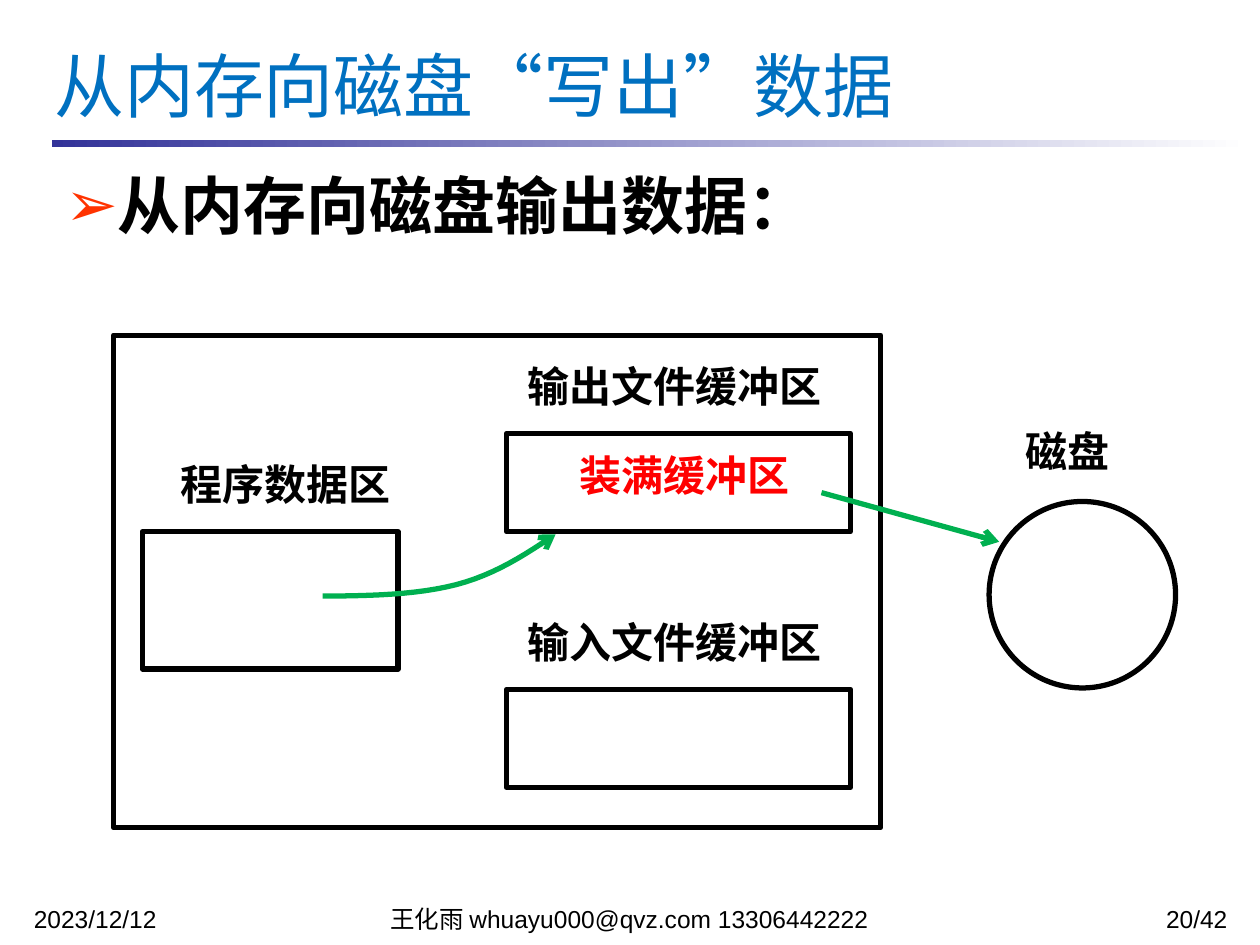
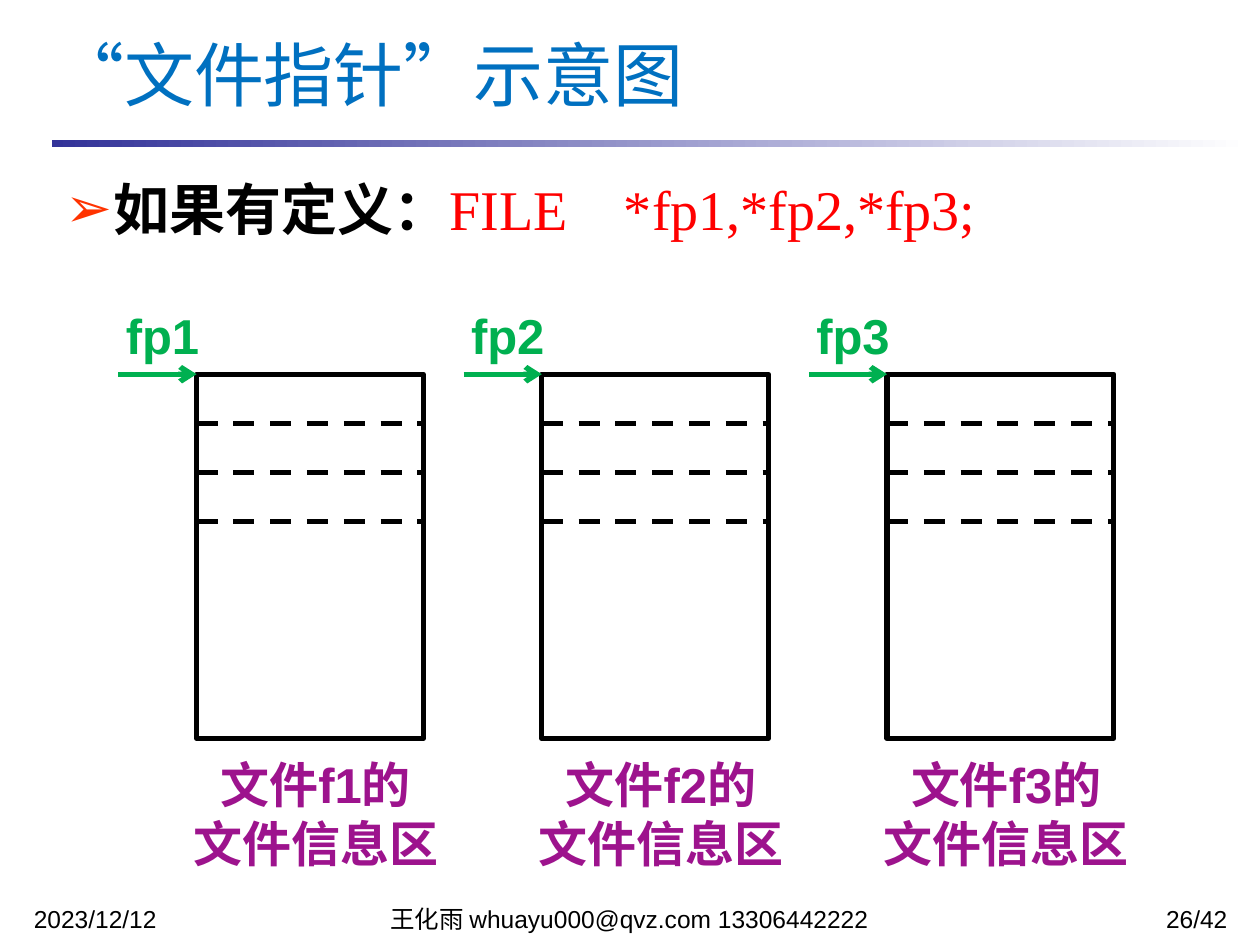
import lxml.etree
import pptx
import pptx.dml.color
import pptx.enum.dml
import pptx.enum.shapes
import pptx.enum.text
import pptx.oxml.ns
import pptx.util

Inches = pptx.util.Inches
Align = pptx.enum.text.PP_ALIGN
Anchor = pptx.enum.text.MSO_ANCHOR
Shape = pptx.enum.shapes.MSO_SHAPE

SANS = "Arial"
SERIF = "Times New Roman"
CHINESE = "Noto Sans CJK SC"
BLACK, WHITE, RED, GREEN = "000000", "FFFFFF", "FF0000", "00B050"
TITLE_BLUE, BAND_BLUE, PURPLE, BULLET = "0070C0", "333399", "9D138D", "FF3300"


def color(value):
    return pptx.dml.color.RGBColor.from_string(value)


def add_element(parent, tag, **attributes):
    return lxml.etree.SubElement(parent, pptx.oxml.ns.qn(tag), attributes)


def write_run(paragraph, text, size=24, font=SANS, fill=BLACK, bold=False):
    run = paragraph.add_run()
    run.text = text
    run.font.size = pptx.util.Pt(size)
    run.font.name = font
    run.font.bold = bold
    run.font.color.rgb = color(fill)
    add_element(run.font._element, "a:ea", typeface=CHINESE)


def curve_points(start, first, second, end, steps=12):
    points = []
    for step in range(1, steps + 1):
        t = step / steps
        weights = ((1 - t) ** 3, 3 * t * (1 - t) ** 2, 3 * t * t * (1 - t), t ** 3)
        points.append(tuple(
            Inches(sum(weight * value for weight, value in zip(weights, axis)))
            for axis in zip(start, first, second, end)))
    return points


class Deck:
    def __init__(self):
        self.presentation = pptx.Presentation()
        self.presentation.slide_width = Inches(10)
        self.presentation.slide_height = Inches(7.5)
        self.slide = None
        self.shapes = None

    def start_slide(self, title_runs, title_top, page):
        layout = self.presentation.slide_layouts[5]
        self.slide = self.presentation.slides.add_slide(layout)
        self.shapes = self.slide.shapes
        self.band()
        self.footer(0.17, 2.33, "2023/12/12", Align.LEFT)
        self.footer(2.58, 4.83, "王化雨 whuayu000@qvz.com 13306442222", Align.CENTER)
        self.footer(7.92, 1.92, f"{page}/42", Align.RIGHT)
        title = self.shapes.title
        title.left, title.top = Inches(0.33), Inches(title_top)
        title.width, title.height = Inches(9.34), Inches(1)
        frame = title.text_frame
        frame.auto_size = pptx.enum.text.MSO_AUTO_SIZE.NONE
        frame.vertical_anchor = Anchor.MIDDLE
        paragraph = frame.paragraphs[0]
        paragraph.alignment = Align.LEFT
        for text, font in title_runs:
            write_run(paragraph, text, size=40, font=font, fill=TITLE_BLUE)

    def band(self):
        band = self.box(0.41, 1.11, 9.51, 0.06)
        band.line.fill.background()
        band.fill.gradient()
        band.fill.gradient_angle = 0
        for stop, value in zip(band.fill.gradient_stops, (BAND_BLUE, WHITE)):
            stop.color.rgb = color(value)

    def footer(self, left, width, text, alignment):
        frame = self.text(left, 7.17, width, 0.18, [text], alignment=alignment,
                          anchor=Anchor.TOP, size=14)
        frame.paragraphs[0].line_spacing = 0.8

    def text(self, left, top, width, height, lines, alignment=Align.CENTER,
             anchor=Anchor.MIDDLE, **style):
        frame = self.shapes.add_textbox(
            Inches(left), Inches(top), Inches(width), Inches(height)).text_frame
        frame.word_wrap = True
        frame.vertical_anchor = anchor
        for index, line in enumerate(lines):
            paragraph = frame.add_paragraph() if index else frame.paragraphs[0]
            paragraph.alignment = alignment
            write_run(paragraph, line, **style)
        return frame

    def label(self, left, top, width, text, fill=BLACK):
        self.text(left, top, width, 0.5, [text], fill=fill, bold=True)

    def bullet(self, height, text, **style):
        frame = self.text(0.42, 1.25, 9.34, height, [text], alignment=Align.LEFT,
                          bold=True, **style)
        paragraph = frame.paragraphs[0]
        properties = paragraph._p.get_or_add_pPr()
        properties.set("marL", str(Inches(0.38)))
        properties.set("indent", str(-Inches(0.38)))
        bullet_color = add_element(properties, "a:buClr")
        add_element(bullet_color, "a:srgbClr", val=BULLET)
        add_element(properties, "a:buFont", typeface=SANS)
        add_element(properties, "a:buChar", char="➢")
        return paragraph

    def box(self, left, top, width, height, kind=Shape.RECTANGLE, fill=None):
        shape = self.shapes.add_shape(
            kind, Inches(left), Inches(top), Inches(width), Inches(height))
        shape.shadow.inherit = False
        if fill:
            shape.fill.solid()
            shape.fill.fore_color.rgb = color(fill)
        else:
            shape.fill.background()
        self.stroke(shape, BLACK)
        return shape

    def stroke(self, shape, value, arrow=False):
        shape.line.color.rgb = color(value)
        shape.line.width = pptx.util.Pt(3)
        if arrow:
            add_element(shape.line._get_or_add_ln(), "a:tailEnd", type="arrow")

    def line(self, start, end, value=BLACK, arrow=False, dashed=False):
        connector = self.shapes.add_connector(
            pptx.enum.shapes.MSO_CONNECTOR.STRAIGHT,
            *(Inches(length) for length in (*start, *end)))
        if dashed:
            connector.line.dash_style = pptx.enum.dml.MSO_LINE.DASH
        self.stroke(connector, value, arrow)
        add_element(connector._element.spPr, "a:effectLst")

    def curved_arrow(self, start, *segments):
        builder = self.shapes.build_freeform(Inches(start[0]), Inches(start[1]))
        for first, second, end in segments:
            builder.add_line_segments(curve_points(start, first, second, end), close=False)
            start = end
        curve = builder.convert_to_shape()
        curve.shadow.inherit = False
        curve.fill.background()
        self.stroke(curve, GREEN, arrow=True)

    def file_record(self, number, left, top):
        width = 1.8
        self.text(left - 0.15, top + 2.97, 2.19, 1.03, [f"文件f{number}的", "文件信息区"],
                  size=28, fill=PURPLE, bold=True)
        slide_shapes = self.shapes
        self.shapes = slide_shapes.add_group_shape().shapes
        self.box(left, top, width, 2.89)
        for row in range(1, 4):
            height = top + 0.39 * row
            self.line((left, height), (left + width, height), dashed=True)
        self.shapes = slide_shapes
        self.text(left - 0.7, top - 0.6, 0.86, 0.57, [f"fp{number}"],
                  size=28, fill=GREEN, bold=True)
        self.line((left - 0.62, top), (left, top), GREEN, arrow=True)


def build_write_out(deck):
    deck.start_slide([("从内存向磁盘", CHINESE), ("“", SERIF), ("写出", CHINESE),
                      ("”", SERIF), ("数据", CHINESE)], 0.17, 20)
    deck.bullet(0.75, "从内存向磁盘输出数据：", size=36, font=CHINESE)
    deck.box(0.9, 2.66, 6.09, 3.91)
    deck.box(1.13, 4.22, 2.03, 1.09)
    deck.label(1.13, 3.59, 2.27, "程序数据区")
    for top, name in ((3.44, "输出文件缓冲区"), (5.47, "输入文件缓冲区")):
        deck.box(4.02, top, 2.73, 0.78)
        deck.label(3.79, top - 0.63, 3.12, name)
    deck.box(7.85, 3.98, 1.48, 1.48, kind=Shape.OVAL, fill=WHITE)
    deck.label(7.85, 3.33, 1.25, "磁盘")
    deck.curved_arrow((2.56, 4.73),
                      ((2.94, 4.73), (3.31, 4.72), (3.62, 4.64)),
                      ((3.93, 4.56), (4.17, 4.4), (4.41, 4.24)))
    deck.label(4.26, 3.52, 2.34, "装满缓冲区", fill=RED)
    deck.line((6.52, 3.91), (7.93, 4.3), GREEN, arrow=True)


def build_file_pointers(deck):
    deck.start_slide([("“文件指针”示意图", SERIF)], 0.08, 26)
    definition = deck.bullet(0.8, "如果有定义：", size=32, font=SERIF)
    write_run(definition, "FILE　*fp1,*fp2,*fp3;", size=32, font=SERIF, fill=RED)
    for index in range(3):
        deck.file_record(index + 1, 1.56 + 2.74 * index, 2.97)


def main():
    deck = Deck()
    build_write_out(deck)
    build_file_pointers(deck)
    deck.presentation.save("out.pptx")


if __name__ == "__main__":
    main()
